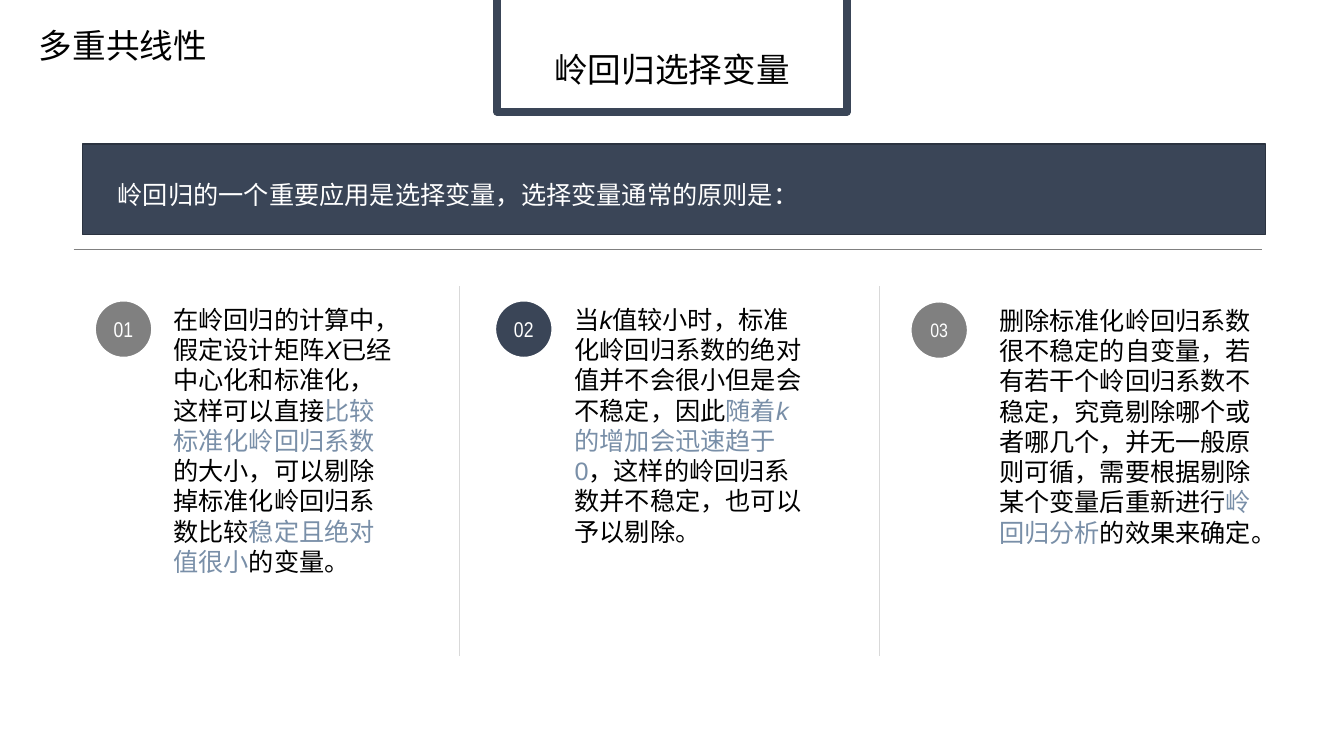
from dataclasses import dataclass

from lxml import etree
from pptx import Presentation, util as u
from pptx.dml import color
from pptx.enum import lang, shapes, text
from pptx.oxml import ns


@dataclass(frozen=True)
class Theme:
    navy: str = "3A4557"
    edge: str = "2B3340"
    gray: str = "808080"
    pale: str = "D9D9D9"
    blue: str = "798FA8"
    black: str = "000000"
    white: str = "FFFFFF"
    body: str = "Arial"
    badge: str = "Arial Narrow"
    head: str = "Montserrat"
    topic: str = "Noto Sans CJK SC"
    body_pt: float = 18
    head_pt: float = 24


T = Theme()
MID, LOW, TOP = (text.MSO_ANCHOR.MIDDLE, text.MSO_ANCHOR.BOTTOM,
                 text.MSO_ANCHOR.TOP)

# Runs are (words, tone, italic)
B, H = T.black, T.blue
RULES = [
    [("在岭回归的计算中，假定设计矩阵", B, False), ("X", B, True),
     ("已经中心化和标准化，这样可以直接", B, False),
     ("比较标准化岭回归系数", H, False),
     ("的大小，可以剔除掉标准化岭回归系数比较", B, False),
     ("稳定且绝对值很小", H, False), ("的变量。", B, False)],
    [("当", B, False), ("k", B, True),
     ("值较小时，标准化岭回归系数的绝对值并不会很小但是会不稳定，因此", B, False),
     ("随着", H, False), ("k", H, True), ("的增加会迅速趋于0", H, False),
     ("，这样的岭回归系数并不稳定，也可以予以剔除。", B, False)],
    [("删除标准化岭回归系数很不稳定的自变量，若有若干个岭回归系数不稳定，"
      "究竟剔除哪个或者哪几个，并无一般原则可循，需要根据剔除某个变量后重新进行",
      B, False),
     ("岭回归分析", H, False), ("的效果来确定。", B, False)],
]
# Each column: left, top, text offset, text width, badge fill, badge size
COLS = [
    (0.93, 2.97, 0.69, 2.39, T.gray, 15.3),
    (4.9, 2.97, 0.7, 2.53, T.navy, 15.3),
    (9.02, 2.98, 0.79, 2.85, T.gray, 13.9),
]


def rgb(tone):
    return color.RGBColor.from_string(tone)


def write(frame, runs, face, size, anchor=TOP, center=False, gap=None):
    """Fill a text frame with one paragraph of styled runs."""
    frame.word_wrap = True
    frame.vertical_anchor = anchor
    para = frame.paragraphs[0]
    if center:
        para.alignment = text.PP_ALIGN.CENTER
    if gap:
        para.line_spacing = gap
    for words, tone, slant in runs:
        run = para.add_run()
        run.text = words
        font = run.font
        font.name, font.size, font.italic = face, u.Pt(size), slant
        font.color.rgb = rgb(tone)
        font.language_id = lang.MSO_LANGUAGE_ID.SIMPLIFIED_CHINESE
        # The same face for Chinese glyphs
        east = etree.SubElement(font._element, ns.qn("a:ea"))
        east.set("typeface", face)


def label(slide, box, runs, face, size, **style):
    area = slide.shapes.add_textbox(*map(u.Inches, box))
    write(area.text_frame, runs, face, size, **style)


def block(slide, kind, box, fill, edge, width):
    part = slide.shapes.add_shape(kind, *map(u.Inches, box))
    part.shadow.inherit = False
    part.fill.solid()
    part.fill.fore_color.rgb = rgb(fill)
    part.line.color.rgb = rgb(edge)
    part.line.width = u.Pt(width)
    return part


def rule(slide, start, end, tone, width):
    line = slide.shapes.add_connector(
        shapes.MSO_CONNECTOR.STRAIGHT, *map(u.Inches, start + end))
    line.line.color.rgb = rgb(tone)
    line.line.width = u.Pt(width)
    etree.SubElement(line._element.spPr, ns.qn("a:effectLst"))


def banner(slide, x, y, w, h):
    """Dark band with the lead sentence and a thin rule below."""
    block(slide, shapes.MSO_SHAPE.RECTANGLE, (x, y, w, h), T.navy, T.edge, 1)
    lead = "岭回归的一个重要应用是选择变量，选择变量通常的原则是："
    label(slide, (x + 0.25, y + 0.11, 6.73, 0.77), [(lead, T.white, False)],
          T.body, T.body_pt, anchor=MID)
    base = y + h + 0.15
    rule(slide, (x - 0.09, base), (x + w - 0.03, base), T.gray, 0.75)


def header(slide, x, y, w, h):
    """Framed title hanging from the top edge, with the topic at left."""
    block(slide, shapes.MSO_SHAPE.RECTANGLE, (x, y, w, h),
          T.white, T.navy, 5.5)
    label(slide, (x + 0.27, 0, w - 0.54, 0.94),
          [("岭回归选择变量", T.black, False)],
          T.head, T.head_pt, anchor=LOW, center=True, gap=0.9)
    label(slide, (0.18, 0.01, 2.08, 0.69), [("多重共线性", T.black, False)],
          T.topic, T.head_pt, anchor=LOW, center=True, gap=0.9)


def column(slide, x, y, shift, w, count, runs, fill, size):
    """Numbered badge with its rule text to the right."""
    badge = block(slide, shapes.MSO_SHAPE.OVAL, (x, y, 0.59, 0.59),
                  fill, T.white, 3)
    frame = badge.text_frame
    frame.margin_left = frame.margin_right = 0
    write(frame, [(f"{count:02d}", T.white, False)], T.badge, size,
          anchor=MID, center=True)
    label(slide, (x + shift, y, w, 0.8), runs, T.body, T.body_pt)


def main():
    deck = Presentation()
    deck.slide_width, deck.slide_height = u.Inches(13.33), u.Inches(7.5)
    slide = deck.slides.add_slide(deck.slide_layouts[6])

    banner(slide, 0.82, 1.43, 11.73, 0.9)
    header(slide, 4.93, -0.6, 3.47, 1.71)

    # Three rules, parted by two upright lines
    for count, (col, runs) in enumerate(zip(COLS, RULES), 1):
        x, y, shift, w, fill, size = col
        column(slide, x, y, shift, w, count, runs, fill, size)
    for x in (4.55, 8.72):
        rule(slide, (x, 2.84), (x, 6.51), T.pale, 0.25)

    deck.save("out.pptx")


if __name__ == "__main__":
    main()
